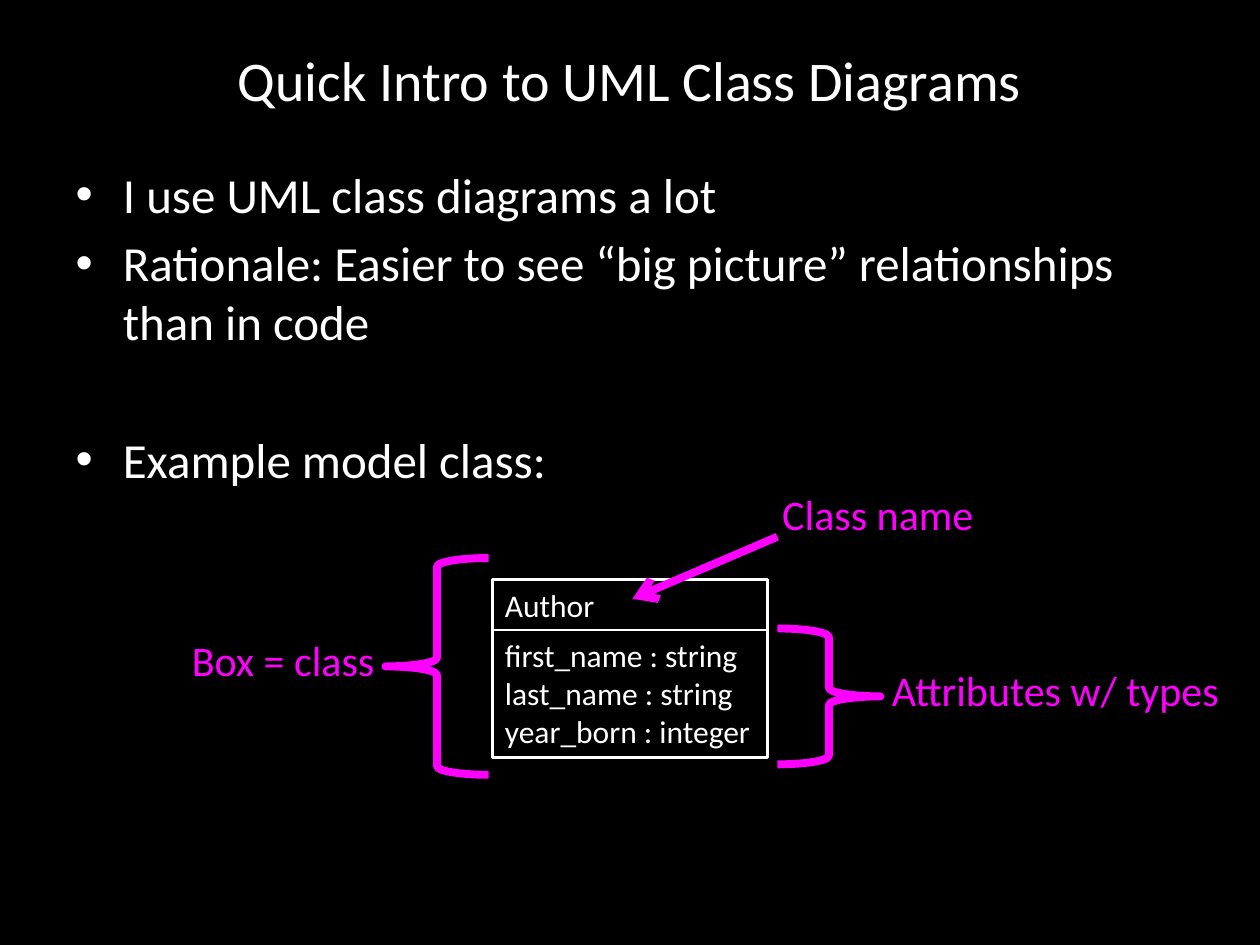
from dataclasses import dataclass

from lxml import etree
from pptx import Presentation
from pptx.dml.color import RGBColor
from pptx.enum.shapes import MSO_CONNECTOR, MSO_SHAPE
from pptx.enum.text import MSO_ANCHOR, PP_ALIGN
from pptx.oxml.ns import qn
from pptx.util import Cm, Pt

LEFT, CENTER, RIGHT = PP_ALIGN.LEFT, PP_ALIGN.CENTER, PP_ALIGN.RIGHT
TOP, MIDDLE = MSO_ANCHOR.TOP, MSO_ANCHOR.MIDDLE
RECT = MSO_SHAPE.RECTANGLE
OPEN, CLOSE = MSO_SHAPE.LEFT_BRACE, MSO_SHAPE.RIGHT_BRACE
STRAIGHT = MSO_CONNECTOR.STRAIGHT

COLORS = {"back": "000000", "text": "FFFFFF", "note": "FF00FF"}
FONT = "Calibri"
NOTE_LINE = 4.5
BOX_LEFT, BOX_WIDTH = 9.93, 5.54
SPLIT = 12.7  # where the name part of the class box meets its attributes


@dataclass
class Area:
    left: float
    top: float
    width: float
    height: float

    def lengths(self) -> list[Cm]:
        return [Cm(v) for v in (self.left, self.top, self.width, self.height)]


@dataclass
class Part:
    """One compartment of the class box."""
    area: Area
    lines: list[str]


@dataclass
class Label:
    text: str
    area: Area
    align: PP_ALIGN = LEFT


@dataclass
class Brace:
    kind: MSO_SHAPE
    area: Area


PARTS = [
    Part(Area(BOX_LEFT, SPLIT, BOX_WIDTH, 2.57),
         ["first_name : string", "last_name : string", "year_born : integer"]),
    Part(Area(BOX_LEFT, SPLIT - 1.02, BOX_WIDTH, 1.02), ["Author"]),
]
BRACES = [
    Brace(OPEN, Area(7.77, 11.25, 2.08, 4.37)),
    Brace(CLOSE, Area(15.67, 12.67, 2.08, 2.74)),
]
LABELS = [
    Label("Box = class", Area(3.56, 12.67, 4.24, 1.27), RIGHT),
    Label("Class name", Area(15.52, 9.73, 4.39, 1.27)),
    Label("Attributes w/ types", Area(17.73, 13.28, 7.19, 1.27)),
]
BULLETS = [
    "I use UML class diagrams a lot",
    "Rationale: Easier to see “big picture” relationships than in code",
    "Example model class:",
]


def color(name: str) -> RGBColor:
    return RGBColor.from_string(COLORS[name])


def write(frame, lines: list[str], size: int, tint: str = "text",
          align: PP_ALIGN = LEFT) -> None:
    frame.text = "\n".join(lines)
    look = {"name": FONT, "size": Pt(size)}
    for para in frame.paragraphs:
        para.alignment = align
        for run in para.runs:
            for key, value in look.items():
                setattr(run.font, key, value)
            run.font.color.rgb = color(tint)


def place(shape, area: Area) -> None:
    names = ("left", "top", "width", "height")
    for key, value in zip(names, area.lengths()):
        setattr(shape, key, value)


def outline(slide, kind: MSO_SHAPE, area: Area, tint: str, width: float):
    """Add an unfilled shape without a shadow."""
    shape = slide.shapes.add_shape(kind, *area.lengths())
    shape.shadow.inherit = False
    shape.fill.background()
    shape.line.color.rgb = color(tint)
    shape.line.width = Pt(width)
    return shape


def draw_part(slide, part: Part) -> None:
    frame = outline(slide, RECT, part.area, "text", 1.5).text_frame
    frame.word_wrap = False
    frame.vertical_anchor = TOP
    write(frame, part.lines, 18)


def draw_label(slide, label: Label) -> None:
    frame = slide.shapes.add_textbox(*label.area.lengths()).text_frame
    frame.word_wrap = False
    write(frame, [label.text], 24, "note", label.align)


def draw_arrow(slide, start: tuple[float, float],
               end: tuple[float, float]) -> None:
    points = [Cm(v) for v in start + end]
    arrow = slide.shapes.add_connector(STRAIGHT, *points)
    arrow.line.color.rgb = color("note")
    arrow.line.width = Pt(NOTE_LINE)
    etree.SubElement(arrow.line._get_or_add_ln(), qn("a:tailEnd"), type="arrow")
    etree.SubElement(arrow._element.spPr, qn("a:effectLst"))


def main() -> None:
    deck = Presentation()
    deck.slide_width, deck.slide_height = Cm(25.4), Cm(19.05)
    slide = deck.slides.add_slide(deck.slide_layouts[1])
    fill = slide.background.fill
    fill.solid()
    fill.fore_color.rgb = color("back")

    title, body = slide.placeholders
    place(title, Area(1.27, 0, 22.86, 3.18))
    title.text_frame.vertical_anchor = MIDDLE
    write(title.text_frame, ["Quick Intro to UML Class Diagrams"], 32,
          align=CENTER)
    place(body, Area(1.27, 3.18, 22.86, 6.86))
    write(body.text_frame, BULLETS, 28)
    body.text_frame.paragraphs[-1].space_before = Pt(45)

    for part in PARTS:
        draw_part(slide, part)
    for brace in BRACES:
        outline(slide, brace.kind, brace.area, "note", NOTE_LINE)
    for label in LABELS:
        draw_label(slide, label)
    draw_arrow(slide, (15.67, 10.82), (12.75, 12.07))
    deck.save("out.pptx")


if __name__ == "__main__":
    main()
